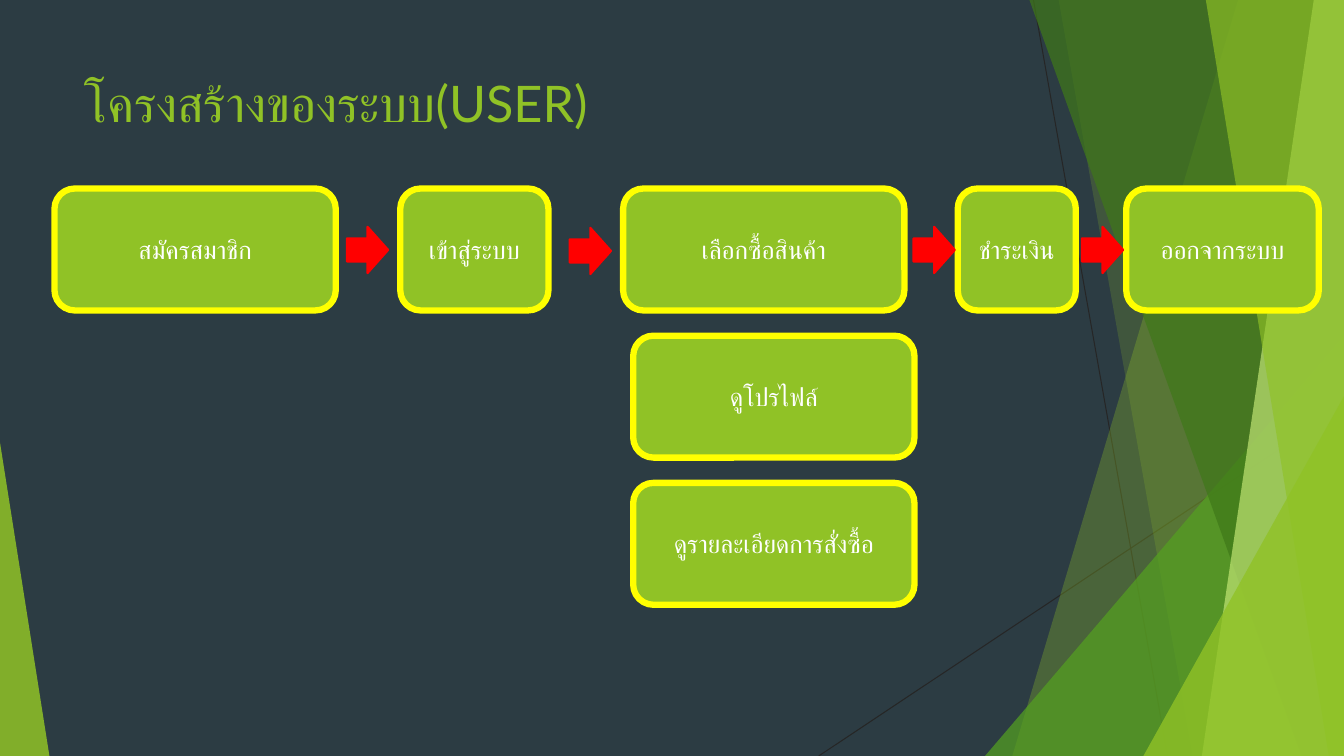
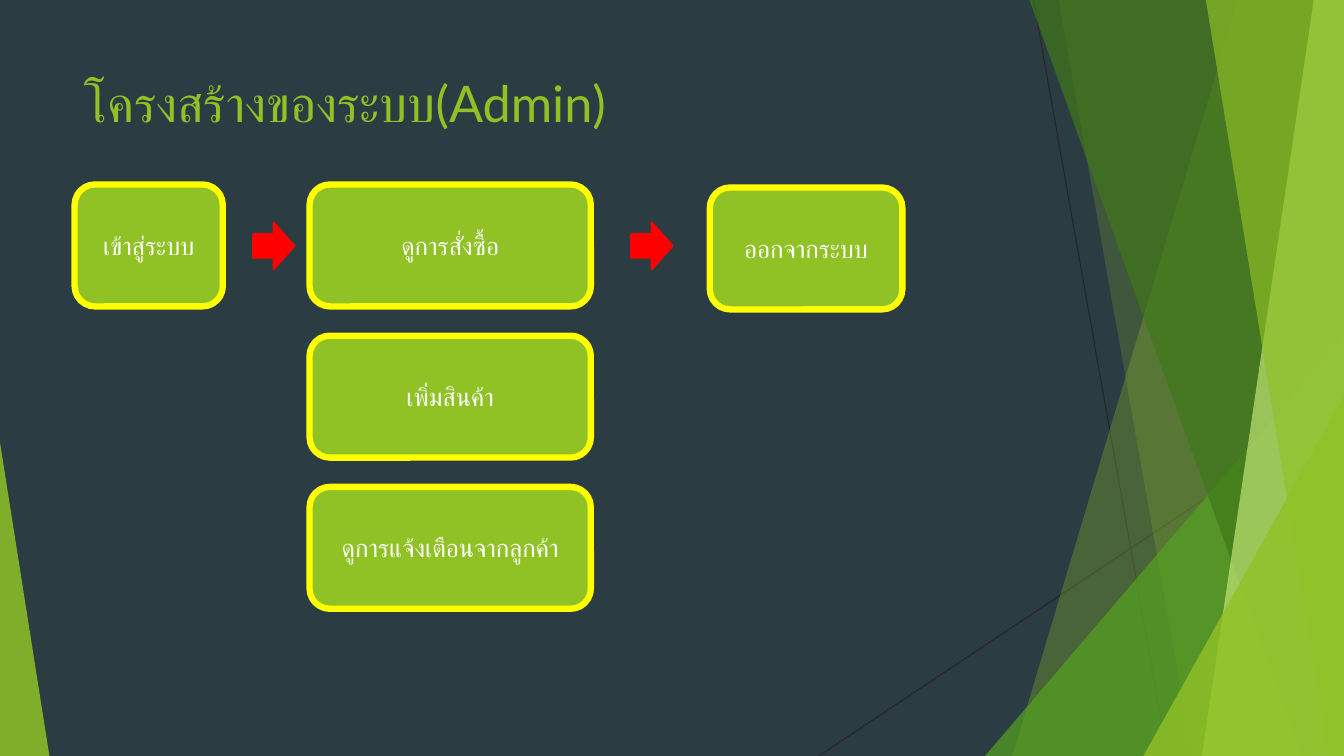
"""Build two slides that show the system structure for users and for admins."""
import lxml.etree
import pptx
import pptx.dml.color
import pptx.enum.shapes
import pptx.enum.text
import pptx.oxml.ns
import pptx.util

Inches = pptx.util.Inches
Pt = pptx.util.Pt
MSO_SHAPE = pptx.enum.shapes.MSO_SHAPE
PP_ALIGN = pptx.enum.text.PP_ALIGN
MSO_ANCHOR = pptx.enum.text.MSO_ANCHOR
qn = pptx.oxml.ns.qn

COLORS = {
    "background": "2C3C43", "lime": "90C226", "green": "54A021",
    "forest": "3F7819", "pale": "C0E474", "hairline": "262626",
    "outline": "FFFF00", "arrow": "FF0000", "label": "FFFFFF",
}
RGB = {name: pptx.dml.color.RGBColor.from_string(code) for name, code in COLORS.items()}
WIDTH, HEIGHT = 13.33, 7.5
STEP_HEIGHT = 1.21
WIDE, LOGIN, PAYMENT, LOGOUT = 2.79, 1.47, 1.17, 1.91
ARROW_WIDTH, ARROW_HEIGHT = 0.41, 0.46

TITLE_FRAME = {
    "word_wrap": True,
    "auto_size": pptx.enum.text.MSO_AUTO_SIZE.NONE,
    "vertical_anchor": MSO_ANCHOR.TOP,
}
STEP_FRAME = {"word_wrap": True, "vertical_anchor": MSO_ANCHOR.MIDDLE}
TITLE_FONT = {"name": "Lato", "size": Pt(36)}
STEP_FONT = {"name": "Lato", "size": Pt(18)}

HAIRLINES = [(10.25, 0, 11.58, HEIGHT), (WIDTH, 4.03, 8.12, HEIGHT)]
FACETS = [
    ("band", (12.28, 10.04), "lime", 30),
    ("band", (10.5, 11.83), "lime", 20),
    ("wedge", (9.77, 3.33, 3.56, 1), "green", 72),
    ("band", (10.21, 12.91), "forest", 70),
    ("band", (13.03, 11.92), "pale", 70),
    ("band", (11.96, 13.18), "lime", 65),
    ("wedge", (11.34, 3.93, 1.99, 1), "lime", 80),
    ("wedge", (0, 4.39, 0.49, 0), "lime", 85),
]

FLOWS = [
    {
        "title": "โครงสร้างของระบบ(USER)",
        "steps": [
            ("สมัครสมาชิก", 0.54, 1.87, WIDE),
            ("เข้าสู่ระบบ", 3.97, 1.87, LOGIN),
            ("เลือกซื้อสินค้า", 6.18, 1.87, WIDE),
            ("ดูโปรไฟล์", 6.28, 3.33, WIDE),
            ("ดูรายละเอียดการสั่งซื้อ", 6.28, 4.79, WIDE),
            ("ชำระเงิน", 9.5, 1.87, PAYMENT),
            ("ออกจากระบบ", 11.17, 1.87, LOGOUT),
        ],
        "arrows": [(3.44, 2.25), (5.65, 2.26), (9.06, 2.25), (10.73, 2.25)],
    },
    {
        "title": "โครงสร้างของระบบ(Admin)",
        "steps": [
            ("เข้าสู่ระบบ", 0.74, 1.83, LOGIN),
            ("ดูการสั่งซื้อ", 3.07, 1.83, WIDE),
            ("เพิ่มสินค้า", 3.07, 3.33, WIDE),
            ("ดูการแจ้งเตือนจากลูกค้า", 3.07, 4.83, WIDE),
            ("ออกจากระบบ", 7.04, 1.86, LOGOUT),
        ],
        "arrows": [(2.51, 2.21), (6.26, 2.21)],
    },
]


def write_text(shape, text, frame_format, font_format, color, alignment):
    """Put one formatted line of text in a shape."""
    frame = shape.text_frame
    for name, value in frame_format.items():
        setattr(frame, name, value)
    paragraph = frame.paragraphs[0]
    paragraph.alignment = alignment
    run = paragraph.add_run()
    run.text = text
    for name, value in font_format.items():
        setattr(run.font, name, value)
    run.font.color.rgb = RGB[color]


def add_block(slide, preset, box, fill, outline, weight):
    """Add a filled and outlined preset shape without shadow."""
    block = slide.shapes.add_shape(preset, *(Inches(length) for length in box))
    block.shadow.inherit = False
    block.fill.solid()
    block.fill.fore_color.rgb = RGB[fill]
    block.line.color.rgb = RGB[outline]
    block.line.width = Pt(weight)
    return block


deck = pptx.Presentation()
deck.slide_width, deck.slide_height = Inches(WIDTH), Inches(HEIGHT)
layout = deck.slide_layouts[5]
layout.background.fill.solid()
layout.background.fill.fore_color.rgb = RGB["background"]
slides = [deck.slides.add_slide(layout) for flow in FLOWS]

backdrop = []
for x1, y1, x2, y2 in HAIRLINES:
    hairline = slides[0].shapes.add_connector(
        pptx.enum.shapes.MSO_CONNECTOR.STRAIGHT,
        Inches(x1), Inches(y1), Inches(x2), Inches(y2))
    hairline.line.color.rgb = RGB["hairline"]
    hairline.line.width = Pt(0.75)
    lxml.etree.SubElement(hairline.element.spPr, qn("a:effectLst"))
    backdrop.append(hairline)

for kind, geometry, color, opacity in FACETS:
    if kind == "band":
        top_x, bottom_x = geometry
        outline = slides[0].shapes.build_freeform(Inches(top_x), 0)
        corners = [(WIDTH, 0), (WIDTH, HEIGHT), (bottom_x, HEIGHT)]
        outline.add_line_segments([(Inches(x), Inches(y)) for x, y in corners])
        facet = outline.convert_to_shape()
    else:
        left, top, width, apex = geometry
        facet = slides[0].shapes.add_shape(
            MSO_SHAPE.ISOSCELES_TRIANGLE,
            Inches(left), Inches(top), Inches(width), Inches(HEIGHT - top))
        facet.adjustments[0] = apex
    facet.shadow.inherit = False
    facet.line.fill.background()
    facet.fill.solid()
    facet.fill.fore_color.rgb = RGB[color]
    tint = facet.element.spPr.find(qn("a:solidFill")).find(qn("a:srgbClr"))
    lxml.etree.SubElement(tint, qn("a:alpha"), val=str(opacity * 1000))
    backdrop.append(facet)

for part in backdrop:
    layout.shapes.element.append(part.element)

for slide, flow in zip(slides, FLOWS):
    title = slide.shapes.title
    title.left, title.top = Inches(0.74), Inches(0.67)
    title.width, title.height = Inches(9.4), Inches(1.44)
    write_text(title, flow["title"], TITLE_FRAME, TITLE_FONT, "lime", PP_ALIGN.LEFT)
    for label, left, top, width in flow["steps"]:
        step = add_block(slide, MSO_SHAPE.ROUNDED_RECTANGLE,
                         (left, top, width, STEP_HEIGHT), "lime", "outline", 4.5)
        write_text(step, label, STEP_FRAME, STEP_FONT, "label", PP_ALIGN.CENTER)
    for left, top in flow["arrows"]:
        add_block(slide, MSO_SHAPE.RIGHT_ARROW,
                  (left, top, ARROW_WIDTH, ARROW_HEIGHT), "arrow", "arrow", 1.5)

deck.save("out.pptx")
